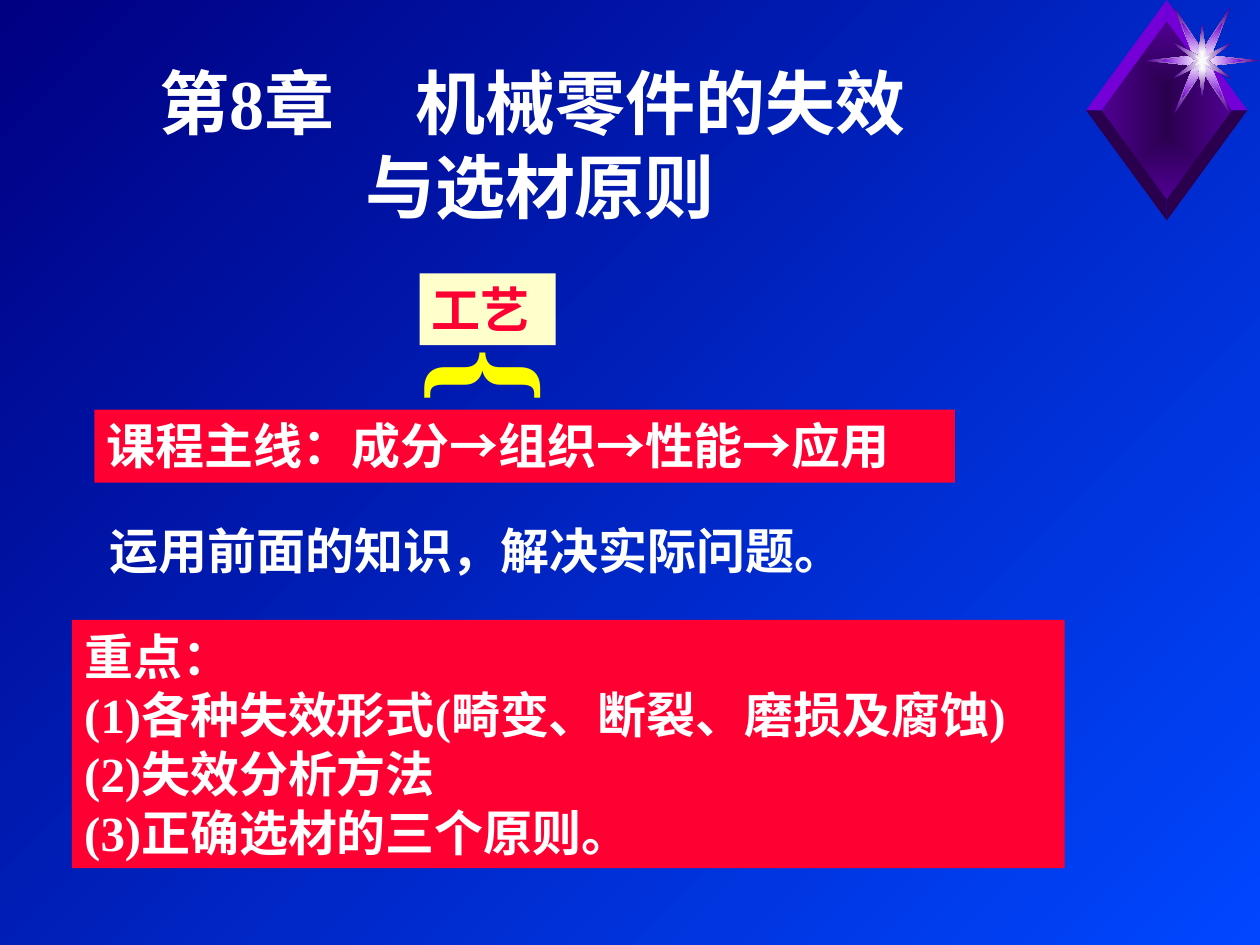
from math import atan2

from lxml import etree
from pptx import Presentation
from pptx.dml.color import RGBColor
from pptx.enum.shapes import MSO_SHAPE
from pptx.enum.text import MSO_ANCHOR, MSO_AUTO_SIZE, PP_ALIGN
from pptx.oxml.ns import qn
from pptx.util import Inches, Pt

WHITE = RGBColor(0xFF, 0xFF, 0xFF)
RED = RGBColor(0xFF, 0x00, 0x33)
CREAM = RGBColor(0xFF, 0xFF, 0xCC)
YELLOW = RGBColor(0xFF, 0xFF, 0x00)
BRIGHT_BLUE = RGBColor(0x00, 0x47, 0xFF)
NAVY = RGBColor(0x00, 0x00, 0x82)
DARK_PURPLE = RGBColor(0x2A, 0x00, 0x4E)
PURPLE = RGBColor(0x50, 0x00, 0x93)
VIOLET = RGBColor(0x75, 0x00, 0xD7)
SPARK = RGBColor(0xF9, 0xF9, 0xF9)

FONT = "Times New Roman"


def set_stops(fill, colors):
    fill.gradient()
    for stop, color in zip(fill.gradient_stops, colors):
        stop.color.rgb = color


def add_polygon(s, points, *colors):
    """Closed outline: one colour fills it plainly, two run from its centre outwards."""
    corners = [(Inches(x), Inches(y)) for x, y in points]
    builder = s.shapes.build_freeform(*corners[0])
    builder.add_line_segments(corners[1:], close=True)
    sp = builder.convert_to_shape()
    sp.shadow.inherit = False
    sp.line.fill.background()
    if len(colors) == 1:
        sp.fill.solid()
        sp.fill.fore_color.rgb = colors[0]
        return
    set_stops(sp.fill, colors)
    grad = sp._element.spPr.find(qn("a:gradFill"))
    grad.remove(grad.find(qn("a:lin")))
    centre = etree.SubElement(grad, qn("a:path"), path="rect")
    etree.SubElement(centre, qn("a:fillToRect"), l="50000", t="50000", r="50000", b="50000")


def add_star(s, cx, cy, corners, *colors):
    """Mirror the corners of one quadrant into all four, then join them by angle."""
    points = {(x * i, y * j) for x, y in corners for i in (1, -1) for j in (1, -1)}
    ordered = sorted(points, key=lambda p: atan2(p[1], p[0]))
    add_polygon(s, [(cx + x, cy + y) for x, y in ordered], *colors)


def add_gem(s, left, top, width, height):
    rx, ry = width / 2, height / 2
    cx, cy = left + rx, top + ry
    ix, iy = 0.81 * rx, 0.81 * ry
    add_polygon(s, [(cx, cy - iy), (cx - ix, cy), (cx, cy + iy), (cx + ix, cy)],
                DARK_PURPLE, PURPLE)
    for dy, color in ((-1, VIOLET), (1, DARK_PURPLE)):
        for dx in (1, -1):
            add_polygon(s, [(cx, cy + dy * iy), (cx, cy + dy * ry),
                            (cx + dx * rx, cy), (cx + dx * ix, cy)], color)
    star_x, star_y = left + 0.72 * width, top + 0.275 * height
    notches = [(0.07, 0.04), (0, 0.08)]
    stars = [
        ([(0.22, 0.42), (0.45, 0)] + notches, (WHITE, PURPLE)),
        ([(0.16, 0.3), (0.33, 0)] + notches, (WHITE, VIOLET)),
        ([(0.23, 0.14), (0, 0.29), (0.03, 0.04), (0.05, 0)], (WHITE, PURPLE)),
        ([(0.06, 0.04), (0, 0.07), (0.01, 0.02), (0.02, 0)], (SPARK,)),
    ]
    for corners, colors in stars:
        add_star(s, star_x, star_y, corners, *colors)


def add_text(s, box, lines, *, size=28, color=WHITE, fill=None, wrap=True,
             grow=False, spacing=None, rotation=0, margin_right=0.1):
    box = [Inches(v) for v in box]
    if fill is None:
        sp = s.shapes.add_textbox(*box)
    else:
        sp = s.shapes.add_shape(MSO_SHAPE.RECTANGLE, *box)
        sp.shadow.inherit = False
        sp.fill.solid()
        sp.fill.fore_color.rgb = fill
        sp.line.fill.background()
    sp.rotation = rotation
    tf = sp.text_frame
    tf.word_wrap = wrap
    tf.auto_size = MSO_AUTO_SIZE.SHAPE_TO_FIT_TEXT if grow else MSO_AUTO_SIZE.NONE
    tf.vertical_anchor = MSO_ANCHOR.TOP
    tf.margin_right = Inches(margin_right)
    for i, line in enumerate(lines):
        p = tf.add_paragraph() if i else tf.paragraphs[0]
        p.alignment = PP_ALIGN.LEFT
        if spacing:
            p.line_spacing = spacing
        r = p.add_run()
        r.text = line
        r.font.name, r.font.size, r.font.bold = FONT, Pt(size), True
        r.font.color.rgb = color
    return tf


def add_title(s, box):
    tf = add_text(s, box, ["第8章\t机械零件的失效", "与选材原则"], size=40)
    first, second = (p._p.get_or_add_pPr() for p in tf.paragraphs)
    tabs = etree.SubElement(first, qn("a:tabLst"))
    etree.SubElement(tabs, qn("a:tab"), pos=str(Inches(2.03)), algn="l")
    second.set("marL", str(Inches(1.63)))
    second.set("indent", "0")


def add_course_line(s, left, top, width, height):
    """Main line of the course, with the process label braced above it."""
    add_text(s, (left, top + 1.08, width, height - 1.08),
             ["课程主线：成分→组织→性能→应用"], fill=RED)
    add_text(s, (left + 2.58, top, 1.08, 0.57), ["工艺"], color=RED, fill=CREAM, grow=True)
    add_text(s, (left + 3.16, top - 0.16, 0.58, 1.9), ["{"], size=80, color=YELLOW,
             grow=True, spacing=1.35, rotation=90)


def add_key_points(s, box):
    points = ["各种失效形式(畸变、断裂、磨损及腐蚀)", "失效分析方法", "正确选材的三个原则。"]
    lines = ["重点："] + [f"({n}){point}" for n, point in enumerate(points, 1)]
    add_text(s, box, lines, fill=RED, margin_right=0)


def main():
    prs = Presentation()
    prs.slide_width, prs.slide_height = Inches(10), Inches(7.5)
    s = prs.slides.add_slide(prs.slide_layouts[6])
    set_stops(s.background.fill, (BRIGHT_BLUE, NAVY))
    s.background.fill.gradient_angle = 135
    add_gem(s, 8.62, 0, 1.28, 1.75)
    add_title(s, (1.17, 0.42, 7.67, 0.67))
    add_key_points(s, (0.57, 4.92, 7.88, 1.97))
    add_text(s, (0.77, 4.08, 6.02, 0.57), ["运用前面的知识，解决实际问题。"],
             wrap=False, grow=True)
    add_course_line(s, 0.75, 2.17, 6.83, 1.66)
    prs.save("out.pptx")


if __name__ == "__main__":
    main()
